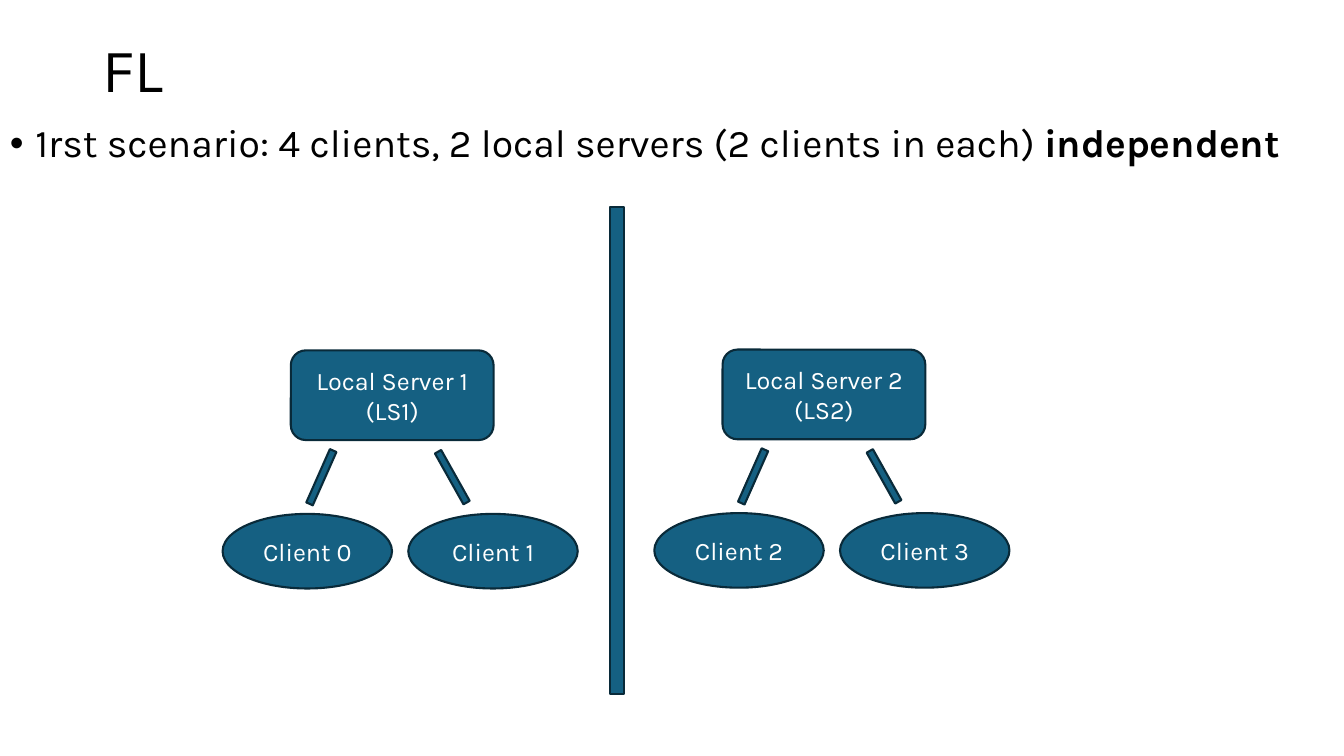
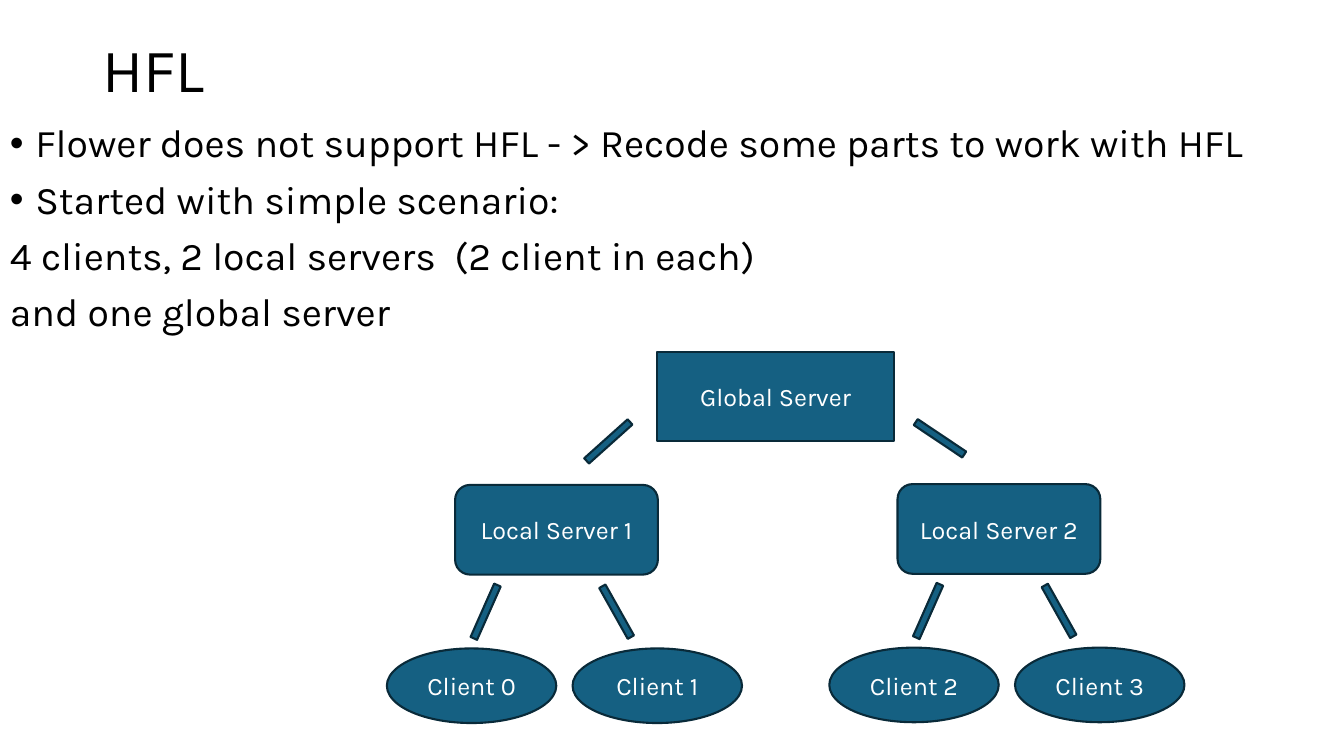
import pptx
import pptx.util
import pptx.dml.color
import pptx.enum.shapes
import pptx.enum.text
import pptx.oxml.ns
import lxml.etree

Cm = pptx.util.Cm
Pt = pptx.util.Pt
MSO_SHAPE = pptx.enum.shapes.MSO_SHAPE
RGBColor = pptx.dml.color.RGBColor

COLORS = {"text": "000000", "fill": "156082", "line": "092A39", "label": "FFFFFF"}
FONT = "Karla"
NODE_HEIGHT = 2.26
CLIENT_STEP = 4.68
LINK_WIDTH, LINK_HEIGHT = 0.18, 1.47

SLIDES = [
    {
        "title": "FL",
        "body_size": (33.68, 2.54),
        "body": [(True, [
            ("1rst scenario: 4 clients, 2 local servers (2 clients in each) ", False),
            ("independent", True),
        ])],
        "servers": ["Local Server 1 (LS1)", "Local Server 2 (LS2)"],
        "clusters": [(5.61, 8.83), (16.49, 8.81)],
        "extras": [(MSO_SHAPE.FLOWCHART_PROCESS, 15.37, 5.21, 0.36, 12.27, 0, "")],
    },
    {
        "title": "HFL",
        "body_size": (31.98, 12.09),
        "body": [
            (True, [("Flower does not support HFL - > Recode some parts to work with HFL", False)]),
            (True, [("Started with simple scenario:", False)]),
            (False, [("4 clients, 2 local servers  (2 client in each)", False)]),
            (False, [("and one global server", False)]),
        ],
        "servers": ["Local Server 1", "Local Server 2"],
        "clusters": [(9.75, 12.22), (20.9, 12.2)],
        "extras": [
            (MSO_SHAPE.RECTANGLE, 16.56, 8.86, 5.97, NODE_HEIGHT, 0, "Global Server"),
            (MSO_SHAPE.RECTANGLE, 15.24, 10.39, LINK_WIDTH, LINK_HEIGHT, 48.1, ""),
            (MSO_SHAPE.RECTANGLE, 23.6, 10.31, LINK_WIDTH, LINK_HEIGHT, 303.8, ""),
        ],
    },
]


def add_text(slide, left, top, width, height, paragraphs, size, anchor, space_before):
    frame = slide.shapes.add_textbox(Cm(left), Cm(top), Cm(width), Cm(height)).text_frame
    frame.word_wrap = True
    frame.vertical_anchor = anchor
    for index, (bulleted, runs) in enumerate(paragraphs):
        paragraph = frame.add_paragraph() if index else frame.paragraphs[0]
        if bulleted:
            properties = paragraph._p.get_or_add_pPr()
            properties.set("marL", str(Cm(0.64)))
            properties.set("indent", str(Cm(-0.64)))
            for tag, name, value in [("a:buFont", "typeface", "Arial"), ("a:buChar", "char", "•")]:
                lxml.etree.SubElement(properties, pptx.oxml.ns.qn(tag)).set(name, value)
        paragraph.line_spacing = 0.9
        paragraph.space_before = Pt(space_before)
        paragraph.font.name = FONT
        paragraph.font.size = Pt(size)
        paragraph.font.color.rgb = RGBColor.from_string(COLORS["text"])
        for text, bold in runs:
            run = paragraph.add_run()
            run.text = text
            if bold:
                run.font.bold = True


def add_node(slide, kind, left, top, width, height, rotation=0, label=""):
    shape = slide.shapes.add_shape(kind, Cm(left), Cm(top), Cm(width), Cm(height))
    shape.rotation = rotation
    shape.shadow.inherit = False
    shape.fill.solid()
    shape.fill.fore_color.rgb = RGBColor.from_string(COLORS["fill"])
    shape.line.color.rgb = RGBColor.from_string(COLORS["line"])
    shape.line.width = Pt(1.5)
    if label:
        frame = shape.text_frame
        frame.word_wrap = True
        frame.vertical_anchor = pptx.enum.text.MSO_ANCHOR.MIDDLE
        paragraph = frame.paragraphs[0]
        paragraph.text = label
        paragraph.alignment = pptx.enum.text.PP_ALIGN.CENTER
        paragraph.font.name = FONT
        paragraph.font.size = Pt(18)
        paragraph.font.color.rgb = RGBColor.from_string(COLORS["label"])


presentation = pptx.Presentation()
presentation.slide_width = Cm(33.87)
presentation.slide_height = Cm(19.05)

for content in SLIDES:
    slide = presentation.slides.add_slide(presentation.slide_layouts[6])
    add_text(slide, 2.33, 0, 29.21, 3.68, [(False, [(content["title"], False)])],
             44, pptx.enum.text.MSO_ANCHOR.MIDDLE, 0)
    add_text(slide, 0, 3, *content["body_size"], content["body"],
             28, pptx.enum.text.MSO_ANCHOR.TOP, 10)
    for cluster, (left, top) in enumerate(content["clusters"]):
        for position in range(2):
            add_node(slide, MSO_SHAPE.OVAL, left + position * CLIENT_STEP, top + 4.12,
                     4.27, 1.88, label=f"Client {2 * cluster + position}")
        add_node(slide, MSO_SHAPE.ROUNDED_RECTANGLE, left + 1.72, top, 5.11, NODE_HEIGHT,
                 label=content["servers"][cluster])
        for offset, rotation in [(2.4, 23.9), (5.7, 330.7)]:
            add_node(slide, MSO_SHAPE.RECTANGLE, left + offset, top + 2.46,
                     LINK_WIDTH, LINK_HEIGHT, rotation)
    for extra in content["extras"]:
        add_node(slide, *extra)

presentation.save("out.pptx")
